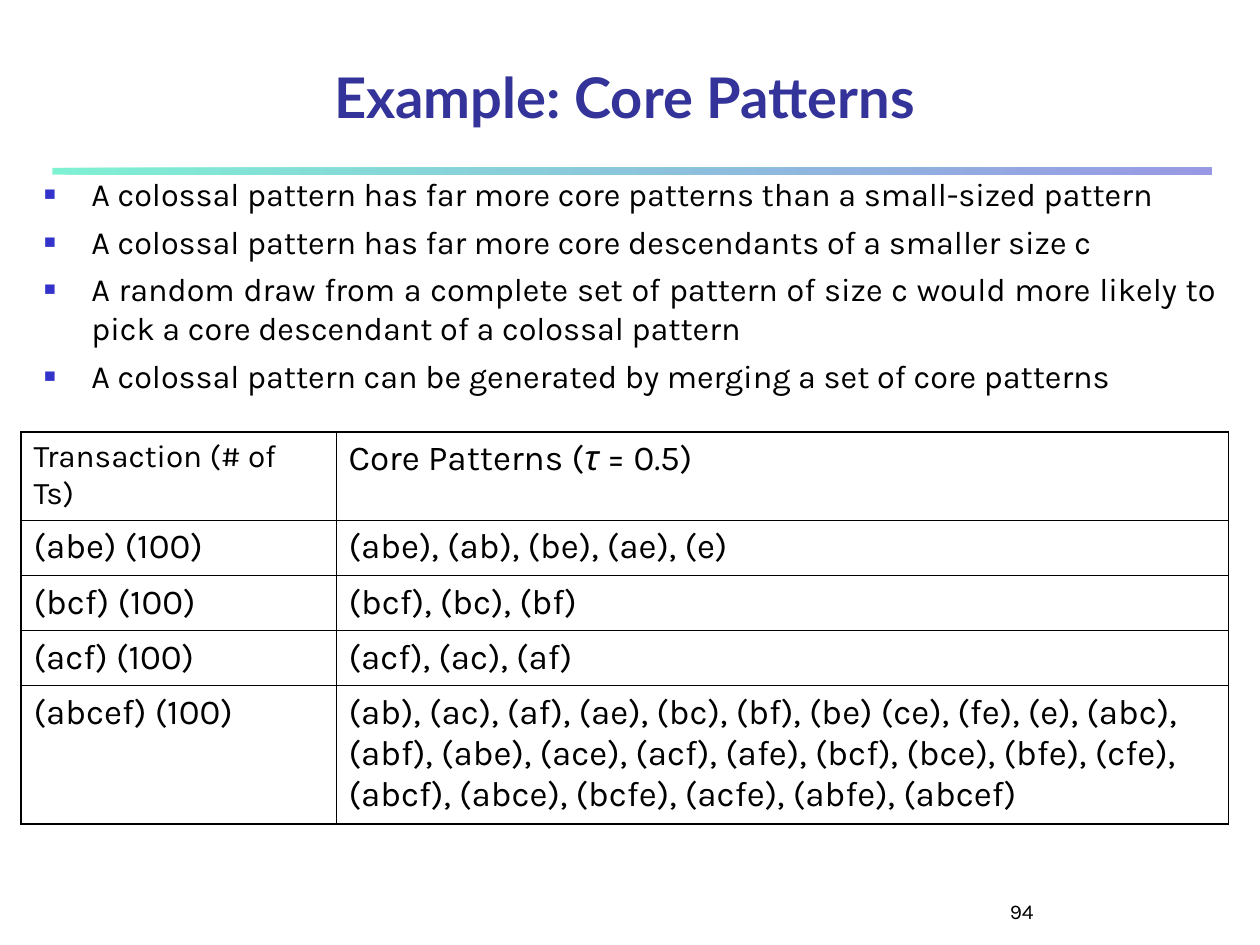
from dataclasses import dataclass

from lxml import etree
from pptx import Presentation
from pptx.dml.color import RGBColor
from pptx.enum.shapes import MSO_SHAPE
from pptx.enum.text import MSO_ANCHOR, MSO_AUTO_SIZE, PP_ALIGN
from pptx.oxml.ns import qn
from pptx.util import Pt

RECTANGLE = MSO_SHAPE.RECTANGLE
BOTTOM, TOP = MSO_ANCHOR.BOTTOM, MSO_ANCHOR.TOP
NO_FIT = MSO_AUTO_SIZE.NONE
LEFT, CENTER, JUSTIFY = PP_ALIGN.LEFT, PP_ALIGN.CENTER, PP_ALIGN.JUSTIFY


@dataclass(frozen=True)
class Theme:
    title_font: str = "Lato"
    body_font: str = "Karla"
    title_color: str = "333399"
    text_color: str = "000000"
    bullet_color: str = "3333CC"
    bar_colors: tuple[str, str] = ("00E4A8", "3333CC")
    title_size: float = 32
    bullet_size: float = 18.5
    header_size: float = 18
    cell_size: float = 20
    number_size: float = 12
    outer_border: float = 1.08
    inner_border: float = 0.45


@dataclass(frozen=True)
class Area:
    left: float
    top: float
    width: float
    height: float

    def lengths(self):
        return Pt(self.left), Pt(self.top), Pt(self.width), Pt(self.height)


@dataclass(frozen=True)
class PatternRow:
    transaction: str
    patterns: str
    height: float


THEME = Theme()
BAR = Area(30, 96, 662.4, 3.8)
TITLE = Area(30, 30, 654, 48)
BODY = Area(18, 96, 684, 144)
TABLE = Area(12, 247, 690, 227.5)
NUMBER = Area(570, 510, 150, 30)
COLUMN_WIDTHS = (180, 510)
INDENT = 27

BULLETS = (
    "A colossal pattern has far more core patterns than a small-sized pattern",
    "A colossal pattern has far more core descendants of a smaller size c",
    "A random draw from a complete set of pattern of size c would more likely to "
    "pick a core descendant of a colossal pattern",
    "A colossal pattern can be generated by merging a set of core patterns",
)
HEADER_SPANS = (("Core Patterns (", False), ("τ ", True), ("= 0", False), (".", True), ("5)", False))
ROWS = (
    PatternRow("Transaction (# of Ts)", "", 50.4),
    PatternRow("(abe) (100)", "(abe), (ab), (be), (ae), (e)", 31.5),
    PatternRow("(bcf) (100)", "(bcf), (bc), (bf)", 31.5),
    PatternRow("(acf) (100)", "(acf), (ac), (af)", 31.5),
    PatternRow(
        "(abcef) (100)",
        "(ab), (ac), (af), (ae), (bc), (bf), (be) (ce), (fe), (e), (abc), (abf), (abe), "
        "(ace), (acf), (afe), (bcf), (bce), (bfe), (cfe), (abcf), (abce), (bcfe), (acfe), "
        "(abfe), (abcef)",
        79,
    ),
)


def style(para, font: str, size: float, color: str, align=LEFT, bold: bool = False) -> None:
    para.alignment = align
    para.font.name = font
    para.font.size = Pt(size)
    para.font.bold = bold
    para.font.color.rgb = RGBColor.from_string(color)


def place(box, area: Area, anchor) -> None:
    box.left, box.top, box.width, box.height = area.lengths()
    frame = box.text_frame
    frame.word_wrap = True
    frame.auto_size = NO_FIT
    frame.vertical_anchor = anchor


def draw_bar(page) -> None:
    bar = page.shapes.add_shape(RECTANGLE, *BAR.lengths())
    bar.shadow.inherit = False
    bar.line.fill.background()
    bar.fill.gradient()
    bar.fill.gradient_angle = 0
    for stop, color in zip(bar.fill.gradient_stops, THEME.bar_colors):
        stop.color.rgb = RGBColor.from_string(color)
    for color_element in bar.element.iter(qn("a:srgbClr")):
        etree.SubElement(color_element, qn("a:alpha"), val="50000")


def draw_title(page, text: str) -> None:
    box = page.shapes.title
    place(box, TITLE, BOTTOM)
    box.text_frame.text = text
    style(box.text_frame.paragraphs[0], THEME.title_font, THEME.title_size,
          THEME.title_color, CENTER, True)


def add_bullet(para) -> None:
    properties = para._p.get_or_add_pPr()
    properties.set("marL", str(Pt(INDENT)))
    properties.set("indent", str(-Pt(INDENT)))
    color = etree.SubElement(properties, qn("a:buClr"))
    etree.SubElement(color, qn("a:srgbClr"), val=THEME.bullet_color)
    etree.SubElement(properties, qn("a:buSzPct"), val="60000")
    etree.SubElement(properties, qn("a:buChar"), char="■")


def draw_bullets(page) -> None:
    box = page.placeholders[1]
    place(box, BODY, TOP)
    frame = box.text_frame
    for index, text in enumerate(BULLETS):
        para = frame.add_paragraph() if index else frame.paragraphs[0]
        para.text = text
        add_bullet(para)
        para.space_before = Pt(5 if index else 0)
        style(para, THEME.body_font, THEME.bullet_size, THEME.text_color, JUSTIFY)


def draw_borders(cell, outer_sides: dict[str, bool]) -> None:
    properties = cell._tc.get_or_add_tcPr()
    for side, outer in outer_sides.items():
        width = THEME.outer_border if outer else THEME.inner_border
        line = etree.SubElement(properties, qn(f"a:ln{side}"), w=str(Pt(width)))
        fill = etree.SubElement(line, qn("a:solidFill"))
        etree.SubElement(fill, qn("a:srgbClr"), val=THEME.text_color)
    cell.fill.background()


def draw_table(page) -> None:
    table = page.shapes.add_table(len(ROWS), len(COLUMN_WIDTHS), *TABLE.lengths()).table
    table.first_row = False
    table.horz_banding = False
    for column, width in zip(table.columns, COLUMN_WIDTHS):
        column.width = Pt(width)
    last_row, last_column = len(ROWS) - 1, len(COLUMN_WIDTHS) - 1
    for row_index, row in enumerate(ROWS):
        table.rows[row_index].height = Pt(row.height)
        for column_index, text in enumerate((row.transaction, row.patterns)):
            cell = table.cell(row_index, column_index)
            draw_borders(cell, {
                "L": column_index == 0,
                "R": column_index == last_column,
                "T": row_index == 0,
                "B": row_index == last_row,
            })
            para = cell.text_frame.paragraphs[0]
            for words, italic in ((text, False),) if text else HEADER_SPANS:
                span = para.add_run()
                span.text = words
                if italic:
                    span.font.italic = True
            size = THEME.header_size if row_index == column_index == 0 else THEME.cell_size
            style(para, THEME.body_font, size, THEME.text_color)


def draw_number(page, text: str) -> None:
    box = page.shapes.add_textbox(*NUMBER.lengths())
    place(box, NUMBER, TOP)
    box.text_frame.text = text
    style(box.text_frame.paragraphs[0], THEME.body_font, THEME.number_size, THEME.text_color)


def main() -> None:
    deck = Presentation()
    deck.slide_width, deck.slide_height = Pt(720), Pt(540)
    page = deck.slides.add_slide(deck.slide_layouts[1])
    draw_bar(page)
    draw_title(page, "Example: Core Patterns")
    draw_bullets(page)
    draw_table(page)
    draw_number(page, "94")
    deck.save("out.pptx")


if __name__ == "__main__":
    main()
